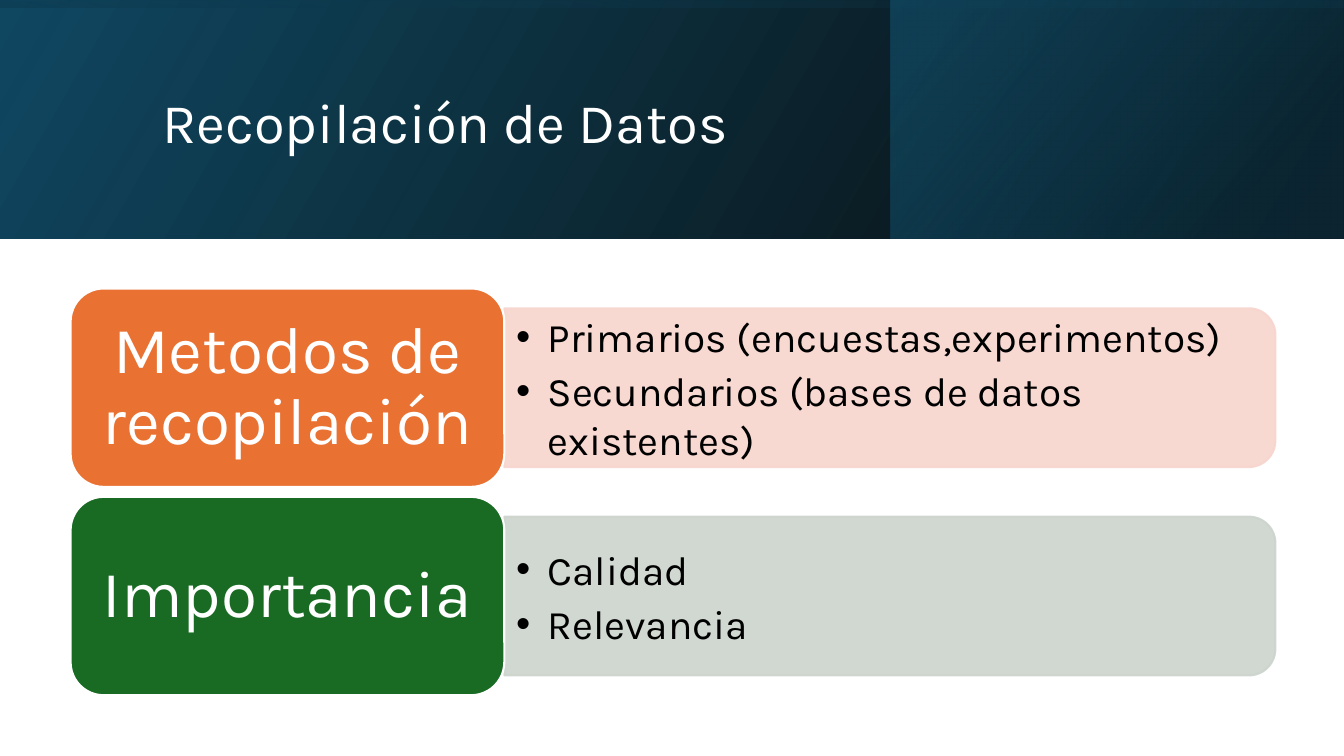
from pptx import Presentation
from pptx import util as u
from pptx.dml.color import RGBColor
from pptx.enum import shapes, text
from pptx.oxml import parse_xml
from pptx.oxml.ns import qn, nsdecls
from lxml import etree

FONT = "Karla"
WHITE = RGBColor(0xFF, 0xFF, 0xFF)
BLACK = RGBColor(0, 0, 0)
ORANGE = RGBColor(0xE9, 0x71, 0x32)
PEACH = RGBColor(0xF7, 0xD5, 0xCE)
GREEN = RGBColor(0x19, 0x6B, 0x24)
SAGE = RGBColor(0xCC, 0xD4, 0xCD)
NAVY = RGBColor(0x10, 0x48, 0x62)
DEEP = RGBColor(0x0B, 0x30, 0x41)
TEAL = RGBColor(0x15, 0x60, 0x82)

prs = Presentation()
prs.slide_width, prs.slide_height = u.Cm(33.87), u.Cm(19.05)
s = prs.slides.add_slide(prs.slide_layouts[5])


def add_box(kind, left, top, width, height, fill=None, line=None, alpha=100):
    """Add a shape without shadow, with plain fill and outline."""
    sp = s.shapes.add_shape(kind, *map(u.Cm, (left, top, width, height)))
    sp.shadow.inherit = False
    for part, color in ((sp.fill, fill), (sp.line.fill, line)):
        if color is None:
            part.background()
        else:
            part.solid()
            part.fore_color.rgb = color
    for clr in sp.element.spPr.iter(qn("a:srgbClr")):
        etree.SubElement(clr, qn("a:alpha"), val=str(alpha * 1000))
    if line is not None:
        sp.line.width = u.Pt(1.5)
    return sp


def write(tf, lines, size, color, insets, **formats):
    """Write one paragraph per line; formats are paragraph attributes."""
    tf.word_wrap = True
    tf.auto_size = text.MSO_AUTO_SIZE.NONE
    tf.vertical_anchor = text.MSO_ANCHOR.MIDDLE
    tf.margin_left = tf.margin_right = u.Cm(insets[0])
    tf.margin_top = tf.margin_bottom = u.Cm(insets[1])
    for i, line in enumerate(lines):
        p = tf.paragraphs[0] if i == 0 else tf.add_paragraph()
        for name, value in formats.items():
            setattr(p, name, value)
        r = p.add_run()
        r.text = line
        r.font.name, r.font.size = FONT, u.Pt(size)
        r.font.color.rgb = color


# Header: three layered gradients (place, rotation, angle, stops)
BAND = 6.02
banners = [
    ((0, 0, 33.87, BAND), 0, 330, [(0, BLACK, 96), (100, NAVY, 100)]),
    ((22.45, 0, 11.4, BAND), 0, 320, [(19, DEEP, 68), (100, TEAL, 48)]),
    ((13.92, -13.92, BAND, 33.87), 270, 350, [(23, NAVY, 16), (99, BLACK, 45)]),
]
for place, rotation, angle, stops in banners:
    sp = add_box(shapes.MSO_SHAPE.RECTANGLE, *place)
    sp.rotation = rotation
    spPr = sp.element.spPr
    spPr.find(qn("a:xfrm")).set("flipH", "1")
    stop_xml = "".join(
        f'<a:gs pos="{pos * 1000}"><a:srgbClr val="{color}">'
        f'<a:alpha val="{alpha * 1000}"/></a:srgbClr></a:gs>'
        for pos, color, alpha in stops)
    grad = parse_xml(f'<a:gradFill {nsdecls("a")} rotWithShape="1"><a:gsLst>{stop_xml}</a:gsLst>'
                     f'<a:lin ang="{angle * 60000}" scaled="0"/></a:gradFill>')
    spPr.replace(spPr.find(qn("a:noFill")), grad)

# Title, brought in front of the header
title = s.shapes.title
title.left, title.top, title.width, title.height = map(u.Cm, (3.84, 0.97, 27, 4.37))
write(title.text_frame, ["Recopilación de Datos"], 40, WHITE, (0.25, 0.13),
      alignment=text.PP_ALIGN.LEFT, line_spacing=0.9)
title.element.getparent().append(title.element)

# Rows: a label block with a rounded bar of bullets beside it
LEFT, TOP, LABEL_W, LABEL_H, PITCH = 1.78, 7.27, 10.93, 5, 5.25
BAR_W, BAR_H, BULLETS_H = 19.43, 4, 3.6
BAR_LEFT = LEFT + LABEL_W
rows = [
    ("Metodos de recopilación", ORANGE, PEACH,
     ["Primarios (encuestas,experimentos)", "Secundarios (bases de datos existentes)"]),
    ("Importancia", GREEN, SAGE, ["Calidad", "Relevancia"]),
]
for i, (label, strong, pale, bullets) in enumerate(rows):
    top = TOP + i * PITCH
    middle = top + LABEL_H / 2

    # Bar, turned so that its rounded end points right
    bar = add_box(shapes.MSO_SHAPE.ROUND_2_SAME_RECTANGLE,
                  BAR_LEFT + (BAR_W - BAR_H) / 2, middle - BAR_W / 2,
                  BAR_H, BAR_W, pale, pale, 90)
    bar.rotation = 90

    # Bullets
    tb = s.shapes.add_textbox(*map(u.Cm, (BAR_LEFT, middle - BULLETS_H / 2, 19.23, BULLETS_H)))
    write(tb.text_frame, bullets, 29, BLACK, (0.3, 0.15), space_after=u.Pt(4))
    for p in tb.text_frame.paragraphs:
        pPr = p._p.get_or_add_pPr()
        pPr.set("marL", str(u.Cm(0.79)))
        pPr.set("indent", str(-u.Cm(0.79)))
        etree.SubElement(pPr, qn("a:buFont"), typeface="Arial")
        etree.SubElement(pPr, qn("a:buChar"), char="•")

    # Label
    block = add_box(shapes.MSO_SHAPE.ROUNDED_RECTANGLE, LEFT, top, LABEL_W, LABEL_H, strong, WHITE)
    write(block.text_frame, [label], 47, WHITE, (0.5, 0.25),
          alignment=text.PP_ALIGN.CENTER, line_spacing=0.9)

prs.save("out.pptx")
